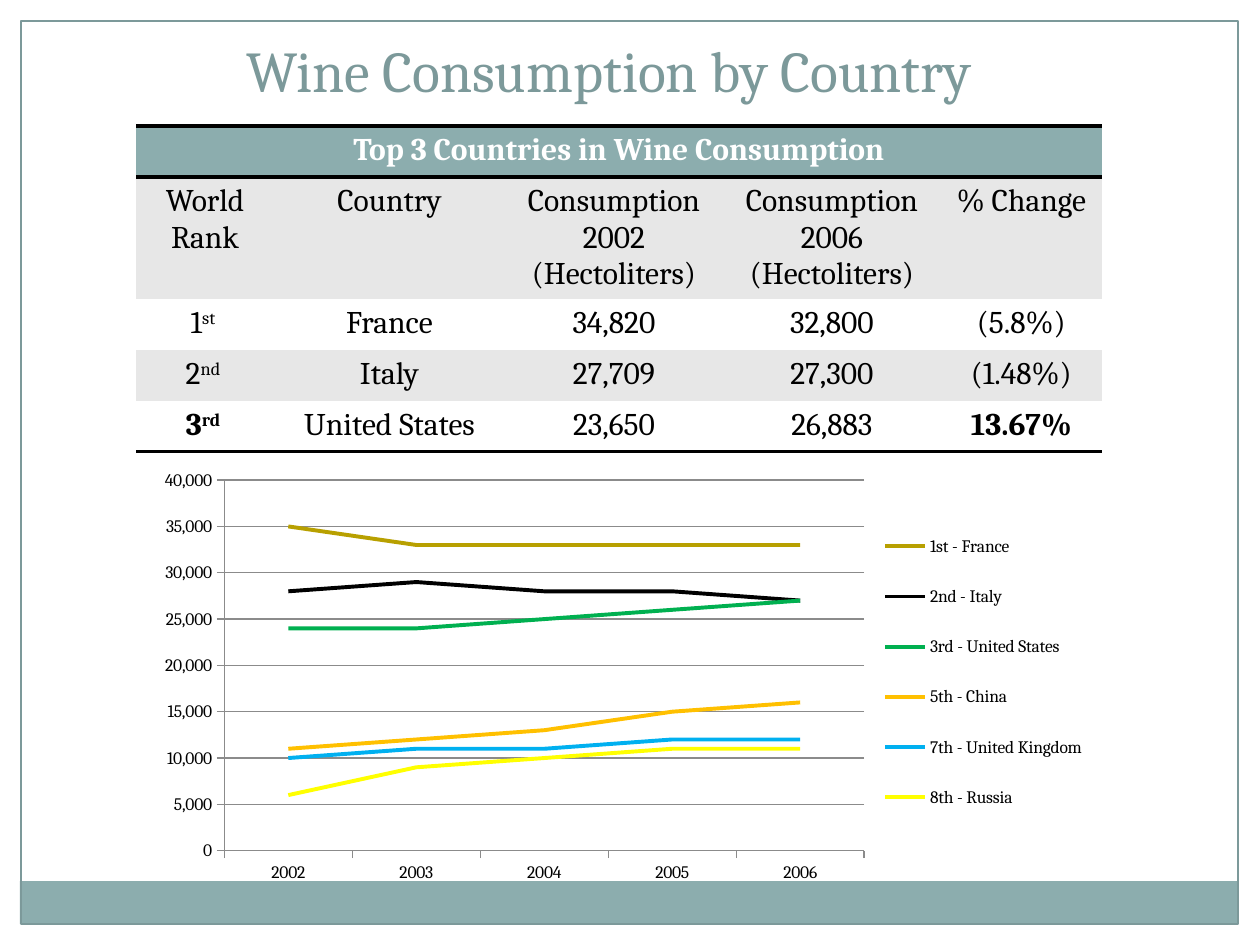
from dataclasses import dataclass
from lxml.etree import SubElement
from pptx import Presentation
from pptx.chart.data import CategoryChartData
from pptx.dml.color import RGBColor
from pptx.enum.chart import XL_CHART_TYPE, XL_LEGEND_POSITION, XL_TICK_MARK
from pptx.enum.shapes import MSO_SHAPE
from pptx.enum.text import MSO_ANCHOR, MSO_AUTO_SIZE, PP_ALIGN
from pptx.oxml import parse_xml
from pptx.oxml.ns import nsdecls, qn
from pptx.util import Emu, Pt

SCALE = 914400 / 126  # EMU in one px
PLAIN = "{2D5ABB26-0587-4C30-8999-92F81FD0307C}"  # no style, no grid


@dataclass(frozen=True)
class Theme:
    font: str = "Cambria"
    title: str = "7C999A"
    band: str = "8CADAE"
    stripe: str = "E7E7E7"
    white: str = "FFFFFF"
    black: str = "000000"
    grid: str = "8B8B8B"
    head: int = 33
    body: int = 18
    note: int = 10


def px(*nums):
    return [Emu(round(n * SCALE)) for n in nums]


def rgb(code):
    return RGBColor.from_string(code)


class Deck:
    def __init__(self, theme):
        self.theme = theme
        self.file = Presentation()
        self.file.slide_width, self.file.slide_height = px(1260, 945)
        self.slide = self.file.slides.add_slide(self.file.slide_layouts[5])

    def style(self, font, size, color, bold=False):
        font.name, font.size, font.bold = self.theme.font, Pt(size), bold
        font.color.rgb = rgb(color)

    def run(self, para, text, size, color, bold=False):
        part = para.add_run()
        part.text = text
        self.style(part.font, size, color, bold)
        return part

    def title(self, text, box):
        shape = self.slide.shapes.title
        shape.left, shape.top, shape.width, shape.height = px(*box)
        frame = shape.text_frame
        frame.auto_size = MSO_AUTO_SIZE.NONE
        frame.vertical_anchor = MSO_ANCHOR.BOTTOM
        para = frame.paragraphs[0]
        para.alignment = PP_ALIGN.CENTER
        self.run(para, text, self.theme.head, self.theme.title)

    def rect(self, box, fill=None, line=None):
        shape = self.slide.shapes.add_shape(MSO_SHAPE.RECTANGLE, *px(*box))
        shape.shadow.inherit = False
        if fill:
            shape.fill.solid()
            shape.fill.fore_color.rgb = rgb(fill)
        else:
            shape.fill.background()
        if line:
            shape.line.color.rgb = rgb(line)
            shape.line.width = Pt(0.75)
        else:
            shape.line.fill.background()

    def rule(self, cell, side):
        cell._tc.get_or_add_tcPr().insert(0, parse_xml(
            f'<a:{side} {nsdecls("a")} w="{Pt(2)}"><a:solidFill>'
            f'<a:srgbClr val="{self.theme.black}"/></a:solidFill></a:{side}>'))

    def cell(self, cell, text, fill, color, bold):
        """A line break starts a paragraph; ^ starts a superscript."""
        cell.fill.solid()
        cell.fill.fore_color.rgb = rgb(fill)
        frame = cell.text_frame
        for i, line in enumerate(text.split("\n")):
            para = frame.add_paragraph() if i else frame.paragraphs[0]
            para.alignment = PP_ALIGN.CENTER
            for j, part in enumerate(line.split("^")):
                if part:
                    run = self.run(para, part, self.theme.body, color, bold)
                    if j:
                        run.font._element.set("baseline", "30000")

    def table(self, rows, spot, cols, highs, strong):
        theme = self.theme
        size = (sum(cols), sum(highs))
        table = self.slide.shapes.add_table(
            len(rows), len(cols), *px(*spot, *size)).table
        table._tbl.tblPr.find(qn("a:tableStyleId")).text = PLAIN
        table.first_row = table.horz_banding = False
        for col, wide in zip(table.columns, px(*cols)):
            col.width = wide
        for row, high in zip(table.rows, px(*highs)):
            row.height = high
        table.cell(0, 0).merge(table.cell(0, len(cols) - 1))
        for r, texts in enumerate(rows):
            fill = theme.stripe if r % 2 else theme.white
            fill, color = (fill, theme.black) if r else (theme.band, theme.white)
            for c, text in enumerate(texts):
                self.cell(table.cell(r, c), text, fill, color,
                          r == 0 or (r, c) in strong)
            for c in range(len(cols)):
                if r in (0, len(rows) - 1):
                    self.rule(table.cell(r, c), "lnB")
                if r == 0:
                    self.rule(table.cell(r, c), "lnT")

    def place(self, node, box, inner=False):
        """Fix a chart part at x, y, w, h as shares of the chart."""
        old = node.find(qn("c:layout"))
        if old is not None:
            node.remove(old)
        lay = parse_xml(f'<c:layout {nsdecls("c")}><c:manualLayout/></c:layout>')
        keys = ["xMode", "yMode", "x", "y", "w", "h"]
        vals = ["edge", "edge", *box]
        if inner:
            keys, vals = ["layoutTarget", *keys], ["inner", *vals]
        for key, val in zip(keys, vals):
            SubElement(lay[0], qn(f"c:{key}")).set("val", str(val))
        node.insert(0 if inner else 1, lay)

    def chart(self, cats, lines, box):
        theme = self.theme
        data = CategoryChartData(number_format="#,##0")
        data.categories = cats
        for name, _, vals in lines:
            data.add_series(name, [val * 1000 for val in vals])
        chart = self.slide.shapes.add_chart(
            XL_CHART_TYPE.LINE, *px(*box), data).chart
        self.style(chart.font, theme.note, theme.black)
        chart.has_title = False
        plot = chart.plots[0]
        plot.vary_by_categories = False
        for one, (_, color, _) in zip(plot.series, lines):
            one.smooth = False
            one.format.line.color.rgb = rgb(color)
            one.format.line.width = Pt(2.25)
        # Axes
        val = chart.value_axis
        val.minimum_scale, val.maximum_scale, val.major_unit = 0, 40000, 5000
        val.has_major_gridlines = True
        val.tick_labels.number_format = "#,##0"
        val.tick_labels.number_format_is_linked = False
        for axis in (val, chart.category_axis):
            axis.major_tick_mark = XL_TICK_MARK.OUTSIDE
        for part in (val, chart.category_axis, val.major_gridlines):
            part.format.line.color.rgb = rgb(theme.grid)
            part.format.line.width = Pt(0.75)
        # Legend and plot area
        chart.has_legend = True
        chart.legend.position = XL_LEGEND_POSITION.RIGHT
        chart.legend.include_in_layout = False
        self.place(chart.legend._element, (0.76, 0.1, 0.23, 0.77))
        area = chart._chartSpace.chart.plotArea
        self.place(area, (0.08, 0.04, 0.67, 0.86), inner=True)


def main():
    theme = Theme()
    deck = Deck(theme)

    # White margins, band, frame and title
    for edge in ((0, 0, 1260, 21), (1239, 0, 21, 945), (0, 0, 21, 945)):
        deck.rect(edge, fill=theme.white)
    deck.rect((20, 881, 1218, 43), fill=theme.band)
    deck.rect((21, 21, 1217, 903), line=theme.title)
    deck.title("Wine Consumption by Country", (42, 0, 1134, 110))

    # Top three countries
    rows = [
        ["Top 3 Countries in Wine Consumption"],
        ["World Rank", "Country", "Consumption 2002 (Hectoliters)",
         "Consumption 2006\n(Hectoliters)", "% Change"],
        ["1^st ", "France", "34,820", "32,800", "(5.8%)"],
        ["2^nd ", "Italy", "27,709", "27,300", "(1.48%)"],
        ["3^rd ", "United States", "23,650", "26,883", "13.67%"],
    ]
    deck.table(rows, (136, 126), (138, 231, 218, 218, 161),
               (51, 122, 51, 51, 51), strong={(4, 0), (4, 4)})

    # Consumption by year, in thousands
    lines = [
        ("1st - France", "B8A000", (35, 33, 33, 33, 33)),
        ("2nd - Italy", "000000", (28, 29, 28, 28, 27)),
        ("3rd - United States", "00B050", (24, 24, 25, 26, 27)),
        ("5th - China", "FFC000", (11, 12, 13, 15, 16)),
        ("7th - United Kingdom", "00B0F0", (10, 11, 11, 12, 12)),
        ("8th - Russia", "FFFF00", (6, 9, 10, 11, 11)),
    ]
    years = [str(year) for year in range(2002, 2007)]
    deck.chart(years, lines, (148, 463, 955, 431))

    deck.file.save("out.pptx")


if __name__ == "__main__":
    main()
